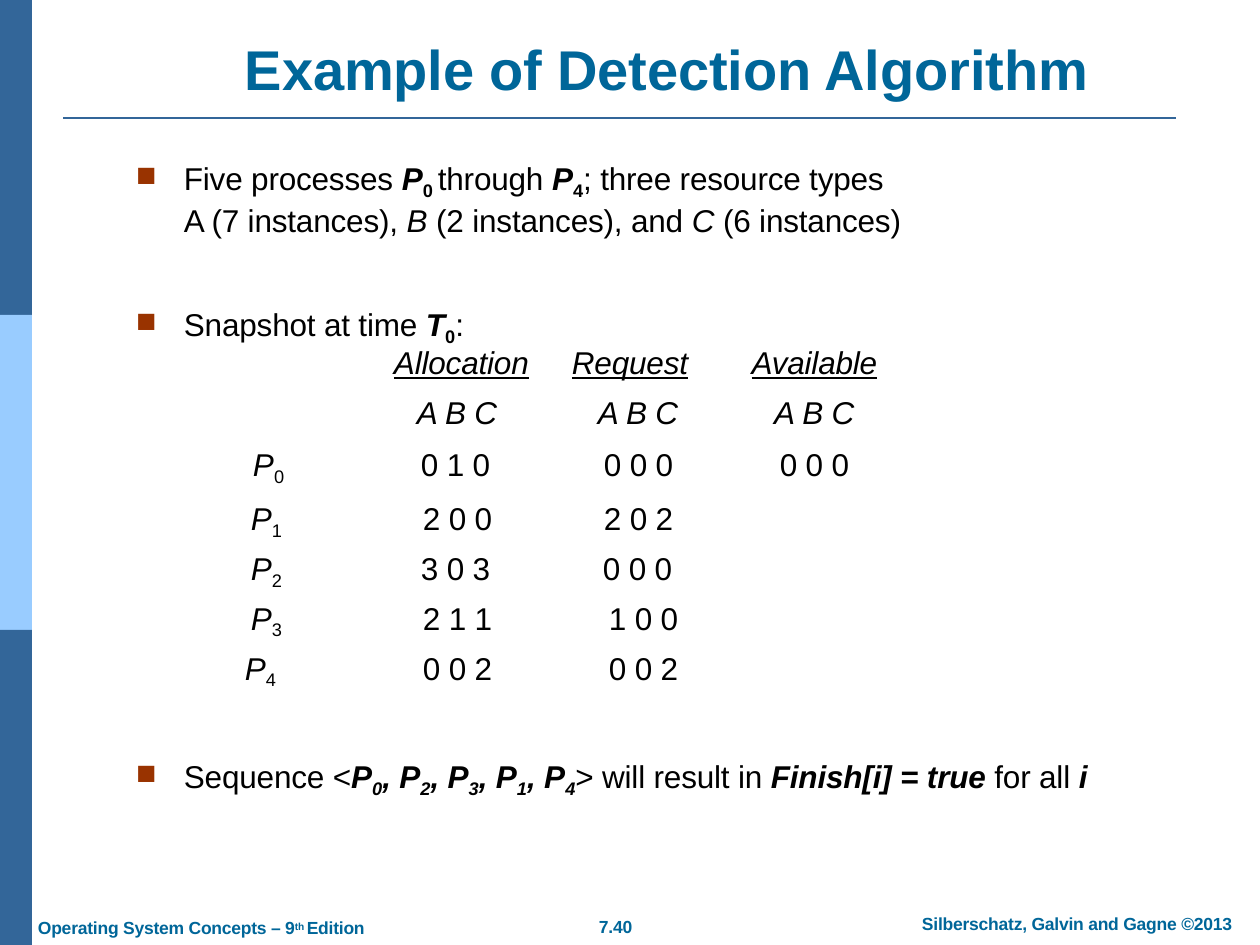
import pptx
import pptx.dml.color
import pptx.enum.shapes
import pptx.enum.text
import pptx.oxml.ns
import pptx.util
from lxml import etree

EMU_PER_PIXEL = 914400 / 126
FONT = "Arial"
BLUE, LIGHT_BLUE, TITLE_BLUE = "336699", "99CCFF", "006699"
BLACK, BULLET_RED = "000000", "993300"


def px(length):
    return pptx.util.Emu(round(length * EMU_PER_PIXEL))


def color(value):
    return pptx.dml.color.RGBColor.from_string(value)


def add_xml(parent, tag, **attributes):
    return etree.SubElement(parent, pptx.oxml.ns.qn(tag), attributes)


class SlideBuilder:
    """Holds the text style and the current slide."""

    def __init__(self, slide):
        self.slide = slide

    def bar(self, left, top, width, height, fill):
        shape = self.slide.shapes.add_shape(
            pptx.enum.shapes.MSO_SHAPE.RECTANGLE,
            px(left), px(top), px(width), px(height))
        shape.shadow.inherit = False
        shape.fill.solid()
        shape.fill.fore_color.rgb = color(fill)
        shape.line.fill.background()

    def rule(self, left, top, right, stroke, points):
        connector = self.slide.shapes.add_connector(
            pptx.enum.shapes.MSO_CONNECTOR.STRAIGHT,
            px(left), px(top), px(right), px(top))
        connector.line.color.rgb = color(stroke)
        connector.line.width = pptx.util.Pt(points)
        add_xml(connector._element.spPr, "a:effectLst")

    def runs(self, paragraph, parts, size=18, fill=BLACK):
        """Parts are (text, flags): b bold, i italic, u underline,
        _ subscript, ^ superscript, n line break before the run."""
        for text, flags in parts:
            if "n" in flags:
                paragraph.add_line_break()
            run = paragraph.add_run()
            run.text = text
            font = run.font
            font.name, font.size = FONT, pptx.util.Pt(size)
            font.color.rgb = color(fill)
            font.bold, font.italic = "b" in flags, "i" in flags
            font.underline = "u" in flags
            properties = font._element
            properties.set("spc", "-10")
            if "_" in flags:
                properties.set("baseline", "-21000")
            if "^" in flags:
                properties.set("baseline", "26000")

    def indent(self, paragraph, left, first=0):
        properties = paragraph._p.get_or_add_pPr()
        properties.set("marL", str(px(left)))
        properties.set("indent", str(px(first)))
        return properties

    def frame(self, shape, top_inset=0):
        frame = shape.text_frame
        frame.margin_left = frame.margin_right = frame.margin_bottom = 0
        frame.margin_top = px(top_inset)
        frame.word_wrap = True
        frame.auto_size = pptx.enum.text.MSO_AUTO_SIZE.NONE
        frame.vertical_anchor = pptx.enum.text.MSO_ANCHOR.TOP
        return frame

    def box(self, left, top, width, height):
        return self.frame(self.slide.shapes.add_textbox(
            px(left), px(top), px(width), px(height)))

    def title(self, left, top, width, height, text, indent):
        shape = self.slide.shapes.title
        shape.left, shape.top = px(left), px(top)
        shape.width, shape.height = px(width), px(height)
        paragraph = self.frame(shape, top_inset=5).paragraphs[0]
        paragraph.alignment = pptx.enum.text.PP_ALIGN.LEFT
        self.indent(paragraph, indent)
        self.runs(paragraph, [(text, "b")], 32, TITLE_BLUE)

    def footer(self, left, top, width, parts):
        paragraph = self.box(left, top, width, 21).paragraphs[0]
        paragraph.line_spacing = pptx.util.Pt(11.1)
        self.indent(paragraph, 1)
        self.runs(paragraph, parts, 10, TITLE_BLUE)

    def bullets(self, left, top, width, height, items, gap=0):
        frame = self.box(left, top, width, height)
        for index, parts in enumerate(items):
            paragraph = frame.add_paragraph() if index else frame.paragraphs[0]
            paragraph.space_before = pptx.util.Pt(gap if index else 0)
            properties = self.indent(paragraph, 49, -48)
            bullet_color = add_xml(properties, "a:buClr")
            add_xml(bullet_color, "a:srgbClr", val=BULLET_RED)
            add_xml(properties, "a:buSzPct", val="89000")
            add_xml(properties, "a:buChar", char="■")
            self.runs(paragraph, parts)

    def table(self, left, top, widths, heights, rows):
        """Each cell is (indent, parts) or None; the last column is centred."""
        table = self.slide.shapes.add_table(
            len(heights), len(widths), px(left), px(top),
            px(sum(widths)), px(sum(heights))).table
        table.first_row = table.horz_banding = False
        for column, width in zip(table.columns, widths):
            column.width = px(width)
        for row_index, (row, height) in enumerate(zip(rows, heights)):
            table.rows[row_index].height = px(height)
            for column_index, content in enumerate(row):
                cell = table.cell(row_index, column_index)
                cell.fill.background()
                cell.margin_left = cell.margin_right = 0
                cell.margin_top = cell.margin_bottom = 0
                if content is None:
                    continue
                indent, parts = content
                paragraph = cell.text_frame.paragraphs[0]
                paragraph.space_before = pptx.util.Pt(2 if row_index < 3 else 0.5)
                if column_index == len(widths) - 1:
                    paragraph.alignment = pptx.enum.text.PP_ALIGN.CENTER
                self.indent(paragraph, indent)
                self.runs(paragraph, parts)
        table.cell(0, 0).merge(table.cell(1, 0))


def main():
    presentation = pptx.Presentation()
    presentation.slide_width, presentation.slide_height = px(1260), px(945)
    builder = SlideBuilder(
        presentation.slides.add_slide(presentation.slide_layouts[5]))

    # Side bars and title rule
    for index, fill in enumerate([BLUE, LIGHT_BLUE, BLUE]):
        builder.bar(0, 315 * index, 32, 315, fill)
    builder.rule(63, 118, 1176, BLUE, 1.5)

    builder.title(28, 29, 1205, 69, "Example of Detection Algorithm", 217)

    # Footer
    builder.footer(921, 915, 320, [("Silberschatz, Galvin and Gagne ©2013", "b")])
    builder.footer(37, 919, 341, [
        ("Operating System Concepts – ", "b"), ("9", "b"),
        ("th ", "b^"), ("Edition", "b")])
    builder.footer(598, 918, 39, [("7.40", "b")])

    # Introduction
    builder.bullets(135, 159, 779, 185, [
        [("Five processes ", ""), ("P", "bi"), ("0 ", "b_"), ("through ", ""),
         ("P", "bi"), ("4", "b_"), ("; three resource types", ""),
         ("A (7 instances), ", "n"), ("B ", "i"), ("(2 instances), and ", ""),
         ("C ", "i"), ("(6 instances)", "")],
        [("Snapshot at time ", ""), ("T", "bi"), ("0", "b_"), (":", "")],
    ], gap=38)

    # Snapshot table: process indent, then indent and values per column
    headings = [(54, "Allocation"), (21, "Request"), (28, "Available")]
    rows = [[None] + [(indent, [(text, "iu")]) for indent, text in headings],
            [None] + [(indent, [("A B C", "i")]) for indent in (77, 47, 28)]]
    processes = [
        (11, (81, "0 1 0"), (53, "0 0 0"), (28, "0 0 0")),
        (9, (83, "2 0 0"), (53, "2 0 2"), None),
        (9, (81, "3 0 3"), (52, "0 0 0"), None),
        (9, (83, "2 1 1"), (58, "1 0 0"), None),
        (3, (83, "0 0 2"), (58, "0 0 2"), None),
    ]
    for number, (indent, *values) in enumerate(processes):
        rows.append([(indent, [("P", "i"), (str(number), "_")])] + [
            value and (value[0], [(value[1], "")]) for value in values])
    builder.table(242, 346, [98, 211, 169, 161],
                  [50, 52, 54, 50, 50, 50, 53], rows)

    # Conclusion
    sequence = []
    for number in "02314":
        sequence += [("P", "bi"), (number, "bi_"), (", ", "bi")]
    builder.bullets(135, 757, 973, 45, [
        [("Sequence <", "")] + sequence[:-1] +
        [("> will result in ", ""), ("Finish[i] = true ", "bi"),
         ("for all ", ""), ("i", "bi")]])

    presentation.save("out.pptx")


if __name__ == "__main__":
    main()
